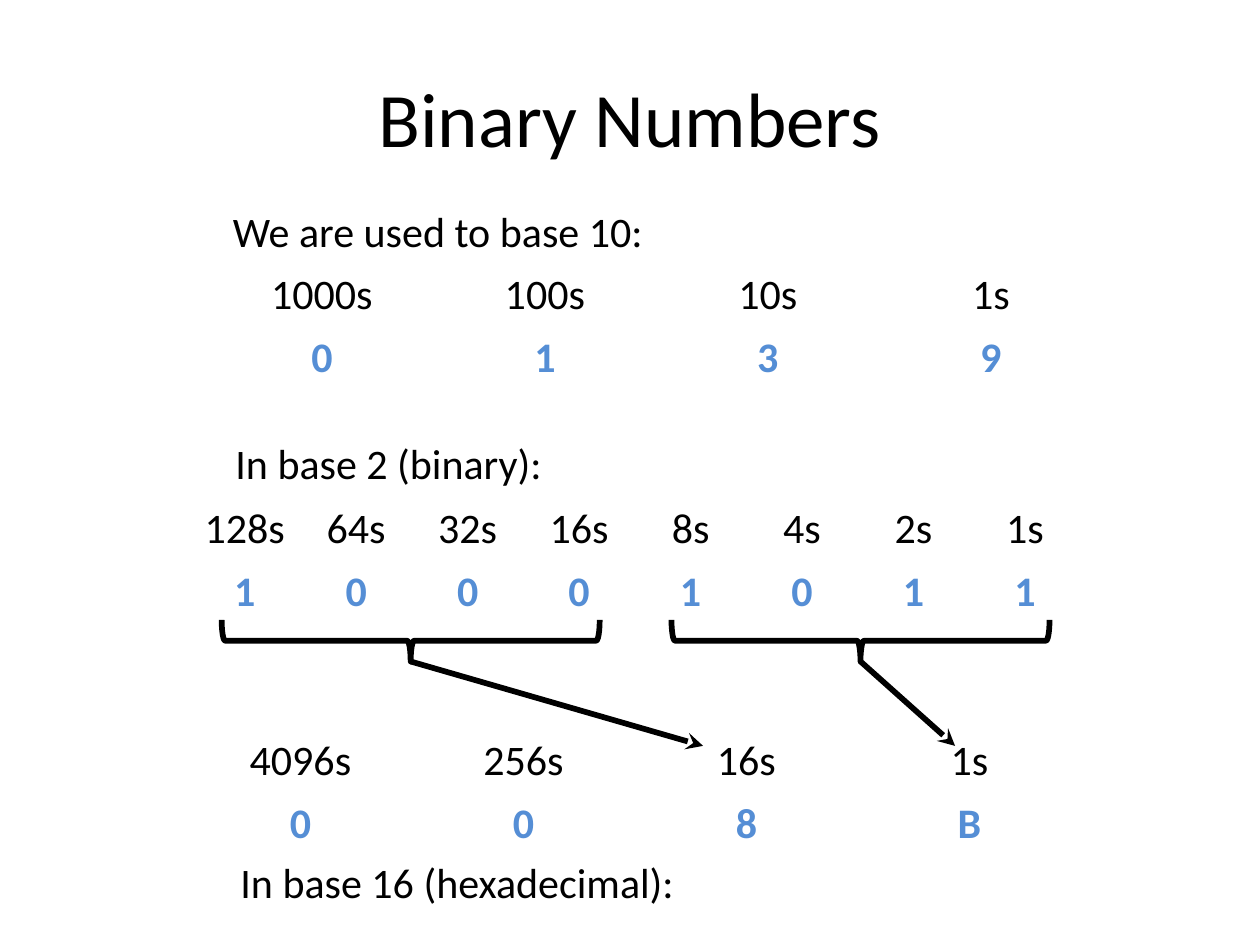
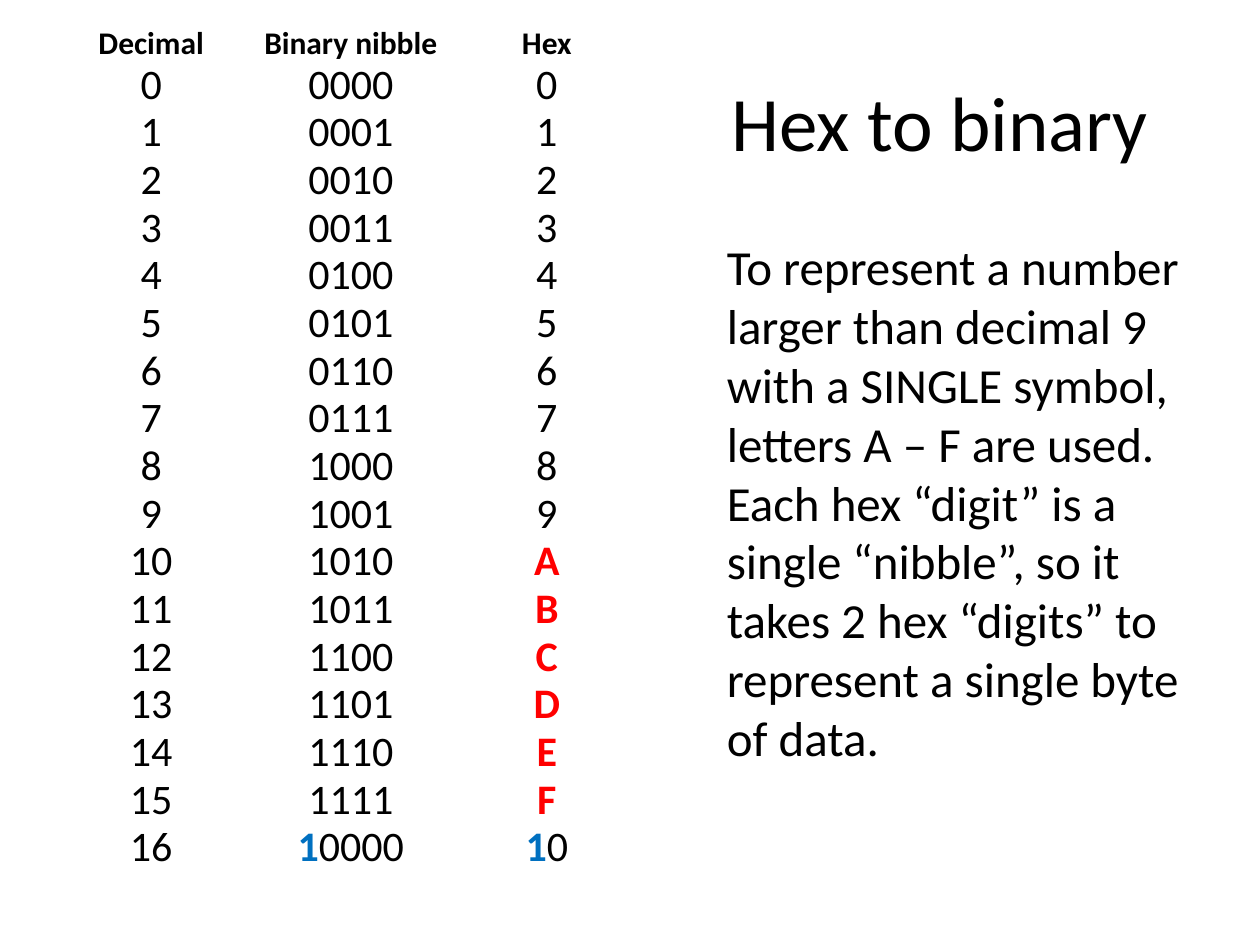
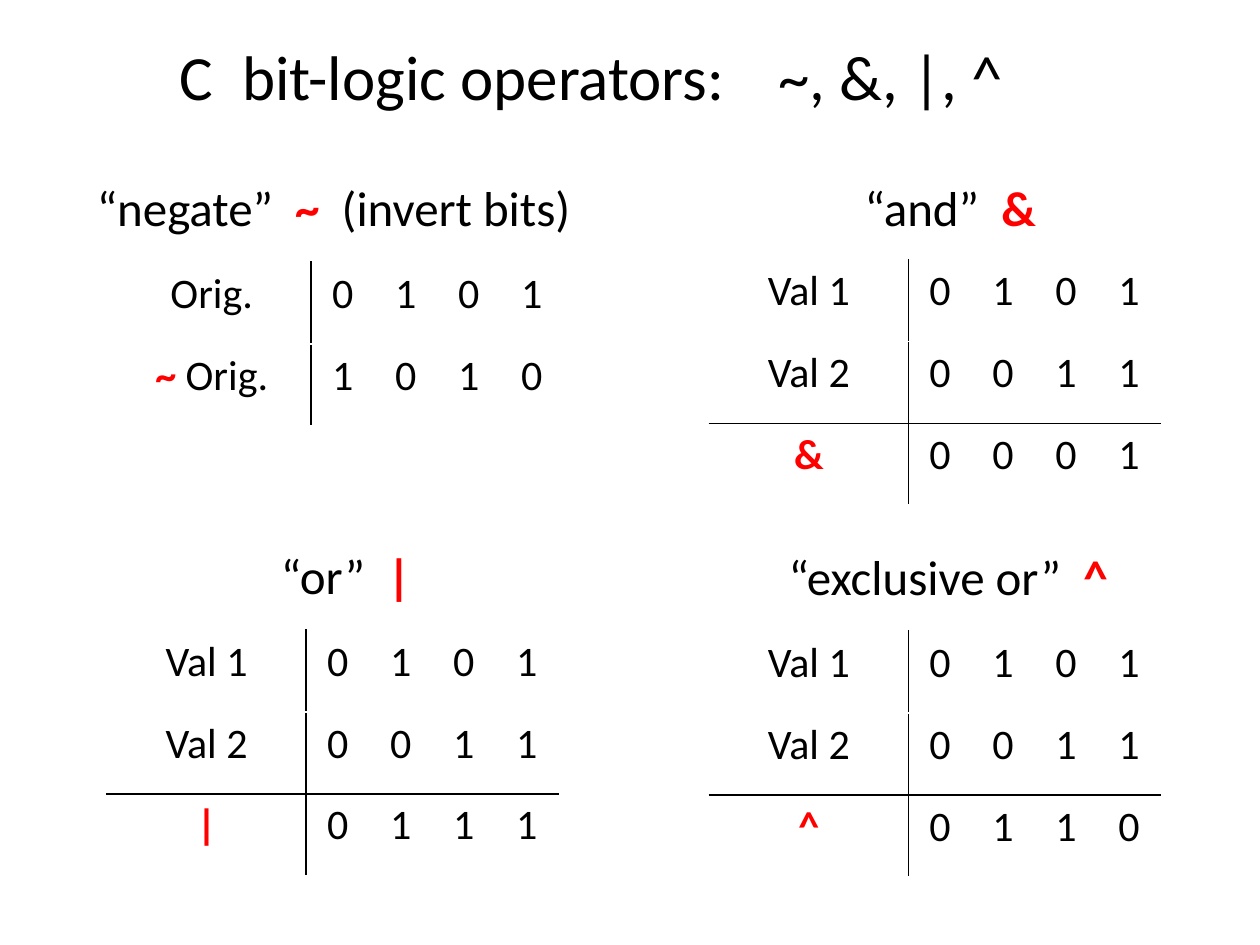
from lxml.etree import SubElement
from pptx import Presentation
from pptx.dml.color import RGBColor
from pptx.enum.shapes import MSO_CONNECTOR, MSO_SHAPE
from pptx.enum.text import MSO_ANCHOR, MSO_AUTO_SIZE, PP_ALIGN
from pptx.oxml.ns import qn
from pptx.util import Inches, Pt

INK, WHITE, RED = "000000", "FFFFFF", "FF0000"
DIGIT_BLUE, CARRY_BLUE = "558ED5", "0070C0"
FONT = "Calibri"
BRACE_SPAN, BRACE_DEPTH = 3, 0.33
STROKE = 3.25


def rgb(colour):
    return RGBColor.from_string(colour)


def write(frame, text, size=24, align=PP_ALIGN.LEFT, bold=False, spacing=None):
    """Fill a frame with a string or (text, colour) spans; coloured spans are bold."""
    para = frame.paragraphs[0]
    para.alignment = align
    if spacing:
        para.line_spacing = Pt(spacing)
    for words, colour in [(text, INK)] if isinstance(text, str) else text:
        span = para.add_run()
        span.text = words
        span.font.name = FONT
        span.font.size = Pt(size)
        span.font.bold = bold or colour != INK
        span.font.color.rgb = rgb(colour)
    return para


def set_borders(cell, **sides):
    """Draw the cell's edges, white unless L, R, T or B names a colour."""
    properties = cell._tc.get_or_add_tcPr()
    for side in "LRTB":
        line = SubElement(properties, qn(f"a:ln{side}"), w=str(Pt(1)))
        fill = SubElement(line, qn("a:solidFill"))
        SubElement(fill, qn("a:srgbClr"), val=sides.get(side, WHITE))


class Deck:
    def __init__(self):
        self.file = Presentation()
        self.file.slide_width, self.file.slide_height = Inches(10), Inches(7.5)
        self.page = None

    def new_page(self):
        self.page = self.file.slides.add_slide(self.file.slide_layouts[6])
        self.page.background.fill.solid()
        self.page.background.fill.fore_color.rgb = rgb(WHITE)

    def text(self, text, left, top, width, height, **style):
        box = self.page.shapes.add_textbox(*map(Inches, (left, top, width, height)))
        box.text_frame.word_wrap = True
        box.text_frame.auto_size = MSO_AUTO_SIZE.SHAPE_TO_FIT_TEXT
        write(box.text_frame, text, **style)
        return box

    def title(self, text, left, top, width):
        box = self.text(text, left, top, width, 1.25, size=44, align=PP_ALIGN.CENTER)
        box.text_frame.auto_size = MSO_AUTO_SIZE.NONE
        box.text_frame.vertical_anchor = MSO_ANCHOR.MIDDLE

    def table(self, rows, left, top, widths, row_height, ruled=False, header_size=24,
              header_bold=False, spacing=None):
        """Add a centred table; ruled draws lines after the labels and above a result."""
        table = self.page.shapes.add_table(
            len(rows), len(widths), Inches(left), Inches(top),
            Inches(sum(widths)), Inches(row_height * len(rows))).table
        table.first_row = table.horz_banding = False
        for column, width in zip(table.columns, widths):
            column.width = Inches(width)
        result_row = len(rows) - 1 if ruled and len(rows) > 2 else None
        for r, values in enumerate(rows):
            table.rows[r].height = Inches(row_height)
            for c, value in enumerate(values):
                cell = table.cell(r, c)
                sides = {}
                if ruled and c < 2:
                    sides["RL"[c]] = INK
                if result_row and r >= result_row - 1:
                    sides["T" if r == result_row else "B"] = INK
                set_borders(cell, **sides)
                cell.fill.background()
                write(cell.text_frame, value, size=24 if r else header_size,
                      align=PP_ALIGN.CENTER, bold=header_bold and r == 0, spacing=spacing)

    def brace(self, tip_x, tip_y):
        """Add a brace lying on its side with its tip pointing down."""
        left = tip_x - BRACE_DEPTH / 2
        top = tip_y - (BRACE_DEPTH + BRACE_SPAN) / 2
        brace = self.page.shapes.add_shape(
            MSO_SHAPE.LEFT_BRACE, Inches(left), Inches(top),
            Inches(BRACE_DEPTH), Inches(BRACE_SPAN))
        brace.rotation = 270
        brace.shadow.inherit = False
        brace.fill.background()
        brace.line.color.rgb = rgb(INK)
        brace.line.width = Pt(STROKE)

    def arrow(self, *ends):
        arrow = self.page.shapes.add_connector(MSO_CONNECTOR.STRAIGHT, *map(Inches, ends))
        arrow.line.color.rgb = rgb(INK)
        arrow.line.width = Pt(STROKE)
        properties = arrow._element.spPr
        SubElement(properties.find(qn("a:ln")), qn("a:tailEnd"), type="stealth")
        SubElement(properties, qn("a:effectLst"))


def binary_numbers(deck):
    deck.new_page()
    deck.title("Binary Numbers", 0.5, 0.3, 9)
    captions = [("We are used to base 10:", 1.75, 1.58),
                ("In base 2 (binary):", 1.77, 3.42),
                ("In base 16 (hexadecimal):", 1.81, 6.75)]
    for caption, left, top in captions:
        deck.text(caption, left, top, 4.25, 0.5)
    numbers = [(10, "0139", 1.67, 2.09), (2, "10001011", 1.5, 3.95), (16, "008B", 1.5, 5.79)]
    for base, digits, left, top in numbers:
        count = len(digits)
        places = [f"{base ** power}s" for power in reversed(range(count))]
        values = [[(digit, DIGIT_BLUE)] for digit in digits]
        deck.table([places, values], left, top, [7.08 / count] * count, 0.5)
    for tip_x, target_x in [(3.26, 5.58), (6.83, 7.58)]:
        deck.brace(tip_x, 5.25)
        deck.arrow(tip_x, 5.25, target_x, 5.92)


def hex_to_binary(deck):
    deck.new_page()
    deck.title("Hex to binary", 5.17, 0.33, 4.58)
    rows = [["Decimal", "Binary nibble", "Hex"]]
    for number in range(16):
        symbol = f"{number:X}"
        rows.append([str(number), f"{number:04b}", [(symbol, RED if number > 9 else INK)]])
    carry = ("1", CARRY_BLUE)
    rows.append(["16", [carry, ("0000", INK)], [carry, ("0", INK)]])
    deck.table(rows, 0.42, 0.17, [1.56, 1.61, 1.5], 0.37,
               header_size=18, header_bold=True, spacing=20)
    deck.text("To represent a number larger than decimal 9 with a SINGLE symbol, "
              "letters A – F are used. Each hex “digit” is a single “nibble”, so it takes "
              "2 hex “digits” to represent a single byte of data.",
              5.67, 1.83, 3.83, 4.34, size=28)


def bit_logic(deck):
    deck.new_page()
    heading = deck.text("C  bit-logic operators:\t~, &, |, ^", 1.33, 0.25, 7.25, 0.71, size=36)
    properties = heading.text_frame.paragraphs[0]._p.get_or_add_pPr()
    stops = SubElement(properties, qn("a:tabLst"))
    SubElement(stops, qn("a:tab"), pos=str(Inches(4.75)), algn="l")

    first, second = [0, 1, 0, 1], [0, 0, 1, 1]
    widths = [1.58] + [0.5] * 4

    def truth_table(left, top, *rows):
        cells = [[label, *map(str, bits)] for label, bits in rows]
        deck.table(cells, left, top, widths, 0.65, ruled=True)

    deck.text([("“negate”  ", INK), ("~", RED), ("  (invert bits)", INK)],
              0.67, 1.36, 4.17, 0.57, size=28)
    truth_table(0.89, 2.08, ("Orig.", first),
                ([("~", RED), (" Orig.", INK)], [1 - bit for bit in first]))

    operators = [("and", "&", "& ", lambda a, b: a & b, (5.75, 1.36), (5.63, 2.06)),
                 ("or", "|", "|", lambda a, b: a | b, (0.91, 4.28), (0.85, 5)),
                 ("exclusive or", "^", "^", lambda a, b: a ^ b, (5.69, 4.29), (5.63, 5.01))]
    for name, symbol, shown, combine, caption_at, table_at in operators:
        deck.text([(f"“{name}”  ", INK), (shown, RED)], *caption_at, 3.67, 0.57,
                  size=28, align=PP_ALIGN.CENTER)
        truth_table(*table_at, ("Val 1", first), ("Val 2", second),
                    ([(symbol, RED)], map(combine, first, second)))


def main():
    deck = Deck()
    binary_numbers(deck)
    hex_to_binary(deck)
    bit_logic(deck)
    deck.file.save("out.pptx")


if __name__ == "__main__":
    main()
